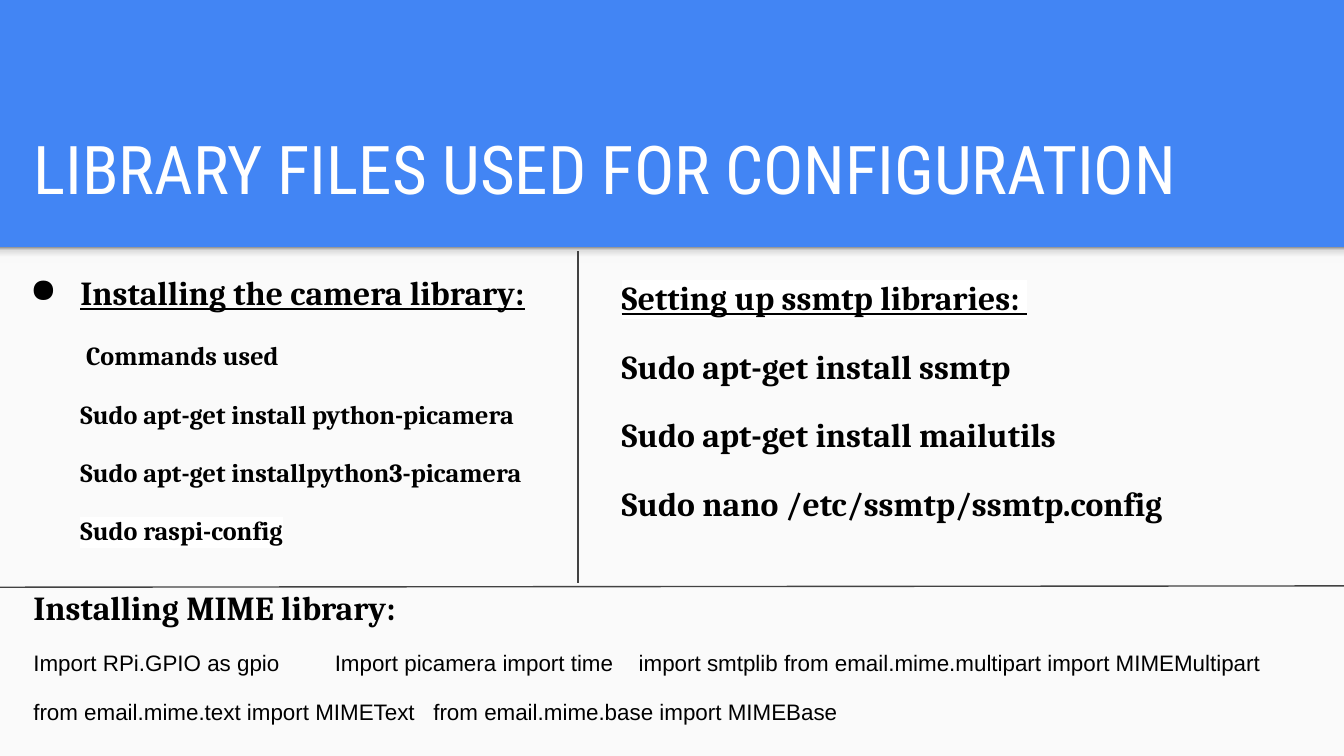
from copy import deepcopy
from dataclasses import dataclass

from lxml.etree import SubElement
from pptx import Presentation
from pptx.dml.color import RGBColor as RGB
from pptx.enum.shapes import MSO_CONNECTOR as CONN, MSO_SHAPE as SHAPE
from pptx.enum.text import MSO_ANCHOR as ANCHOR
from pptx.oxml.ns import qn
from pptx.util import Pt


@dataclass(frozen=True)
class Theme:
    blue: str = "4285F4"
    paper: str = "FAFAFA"
    white: str = "FFFFFF"
    black: str = "000000"
    rule: str = "424242"
    shade: tuple = ((0, "F9F9F9"), (0.36, "F9F9F9"), (0.8, "DEDEDE"), (1, "999999"))
    title_font: str = "Roboto Condensed"
    head_font: str = "Cambria"
    code_font: str = "Arial"
    title: int = 36
    head: int = 18
    command: int = 14
    code: int = 12


T = Theme()
W, H = 720, 405
BAND = 132.5  # height of the blue title band

TITLE = dict(name=T.title_font, size=Pt(T.title), color=T.white)
HEAD = dict(name=T.head_font, size=Pt(T.head), bold=True)
LINKED_HEAD = dict(HEAD, underline=True)
COMMAND = dict(HEAD, size=Pt(T.command))
CODE = dict(name=T.code_font, size=Pt(T.code))
SPACED = dict(space_before=Pt(12), line_spacing=1.15)
CODE_SPACED = dict(space_before=Pt(12))


def set_attrs(obj, values):
    for name, value in values.items():
        setattr(obj, name, value)


def add_panel(s, top, height):
    sp = s.shapes.add_shape(SHAPE.RECTANGLE, 0, Pt(top), Pt(W), Pt(height))
    sp.shadow.inherit = False
    sp.line.fill.background()
    return sp


def fill_gradient(sp, stops):
    """Fill from bottom to top with any number of (position, colour) stops."""
    sp.fill.gradient()
    sp.fill.gradient_angle = 90
    gs_list = next(sp.element.iter(qn("a:gsLst")))
    for _ in range(len(stops) - len(gs_list)):
        gs_list.append(deepcopy(gs_list[0]))
    for stop, (position, color) in zip(sp.fill.gradient_stops, stops):
        stop.position = position
        stop.color.rgb = RGB.from_string(color)


def add_rule(s, x1, y1, x2, y2):
    line = s.shapes.add_connector(CONN.STRAIGHT, Pt(x1), Pt(y1), Pt(x2), Pt(y2))
    line.line.color.rgb = RGB.from_string(T.rule)
    line.line.width = Pt(0.75)
    SubElement(line.element.spPr, qn("a:effectLst"))


def add_text(s, left, top, width, height, anchor=ANCHOR.TOP):
    tf = s.shapes.add_textbox(Pt(left), Pt(top), Pt(width), Pt(height)).text_frame
    set_attrs(tf, dict(word_wrap=True, vertical_anchor=anchor))
    margins = ("margin_left", "margin_top", "margin_right", "margin_bottom")
    set_attrs(tf, dict.fromkeys(margins, Pt(7.2)))
    return tf


def add_paragraph(tf, text, font, spacing=None, highlight=False):
    p = tf.paragraphs[0] if not tf.paragraphs[0].runs else tf.add_paragraph()
    set_attrs(p, spacing or {})
    r = p.add_run()
    r.text = text
    values = dict(font)
    r.font.color.rgb = RGB.from_string(values.pop("color", T.black))
    set_attrs(r.font, values)
    if highlight:
        mark = SubElement(r.font._element, qn("a:highlight"))
        SubElement(mark, qn("a:srgbClr"), val=T.white)
        r.font._element.find(qn("a:latin")).addprevious(mark)
    return p


def indent(p, left, first=0):
    pPr = p._p.get_or_add_pPr()
    pPr.set("marL", str(Pt(left)))
    pPr.set("indent", str(Pt(first)))
    return pPr


def add_bullet(p, left, hang):
    pPr = indent(p, left, -hang)
    color = SubElement(pPr, qn("a:buClr"))
    SubElement(color, qn("a:srgbClr"), val=T.black)
    SubElement(pPr, qn("a:buChar"), char="●")


def add_tabs(p, stops):
    tabs = SubElement(p._p.get_or_add_pPr(), qn("a:tabLst"))
    for stop in stops:
        SubElement(tabs, qn("a:tab"), pos=str(Pt(stop)), algn="l")


def add_camera_section(s):
    tf = add_text(s, 0, 135.4, 326, 178)
    p = add_paragraph(tf, "Installing the camera library:", LINKED_HEAD, SPACED)
    add_bullet(p, 36, 27)
    for text in (" Commands used", "Sudo apt-get install python-picamera",
                 "Sudo apt-get installpython3-picamera"):
        indent(add_paragraph(tf, text, COMMAND, SPACED), 36)
    indent(add_paragraph(tf, "Sudo raspi-config", COMMAND, SPACED, True), 36)


def add_mail_section(s):
    tf = add_text(s, 326, 141.1, 390, 146)
    add_paragraph(tf, "Setting up ssmtp libraries: ", LINKED_HEAD, highlight=True)
    for text in ("Sudo apt-get install ssmtp", "Sudo apt-get install mailutils",
                 "Sudo nano /etc/ssmtp/ssmtp.config"):
        add_paragraph(tf, text, HEAD, SPACED)


def add_mime_section(s):
    tf = add_text(s, 10.8, 303.8, 684, 66)
    add_paragraph(tf, "Installing MIME library:", HEAD, SPACED)
    rows = (
        (("Import RPi.GPIO as gpio", "Import picamera import time",
          "import smtplib from email.mime.multipart import MIMEMultipart"),
         (161.5, 324.3)),
        (("from email.mime.text import MIMEText",
          "from email.mime.base import MIMEBase"), (214.3,)),
    )
    for parts, stops in rows:
        add_tabs(add_paragraph(tf, "\t".join(parts), CODE, CODE_SPACED), stops)


def main():
    prs = Presentation()
    prs.slide_width, prs.slide_height = Pt(W), Pt(H)
    s = prs.slides.add_slide(prs.slide_layouts[6])
    s.background.fill.solid()
    s.background.fill.fore_color.rgb = RGB.from_string(T.blue)

    body = add_panel(s, BAND, H - BAND)
    body.fill.solid()
    body.fill.fore_color.rgb = RGB.from_string(T.paper)
    fill_gradient(add_panel(s, BAND, 8.6), T.shade)

    title = add_text(s, 10.8, 58.3, 647.3, 60.5, ANCHOR.BOTTOM)
    add_paragraph(title, "LIBRARY FILES USED FOR CONFIGURATION", TITLE)
    add_camera_section(s)
    add_rule(s, 309.6, 134.6, 309.6, 312.5)
    add_mail_section(s)
    add_rule(s, 0, 314.6, W, 313.9)
    add_mime_section(s)
    prs.save("out.pptx")


if __name__ == "__main__":
    main()
